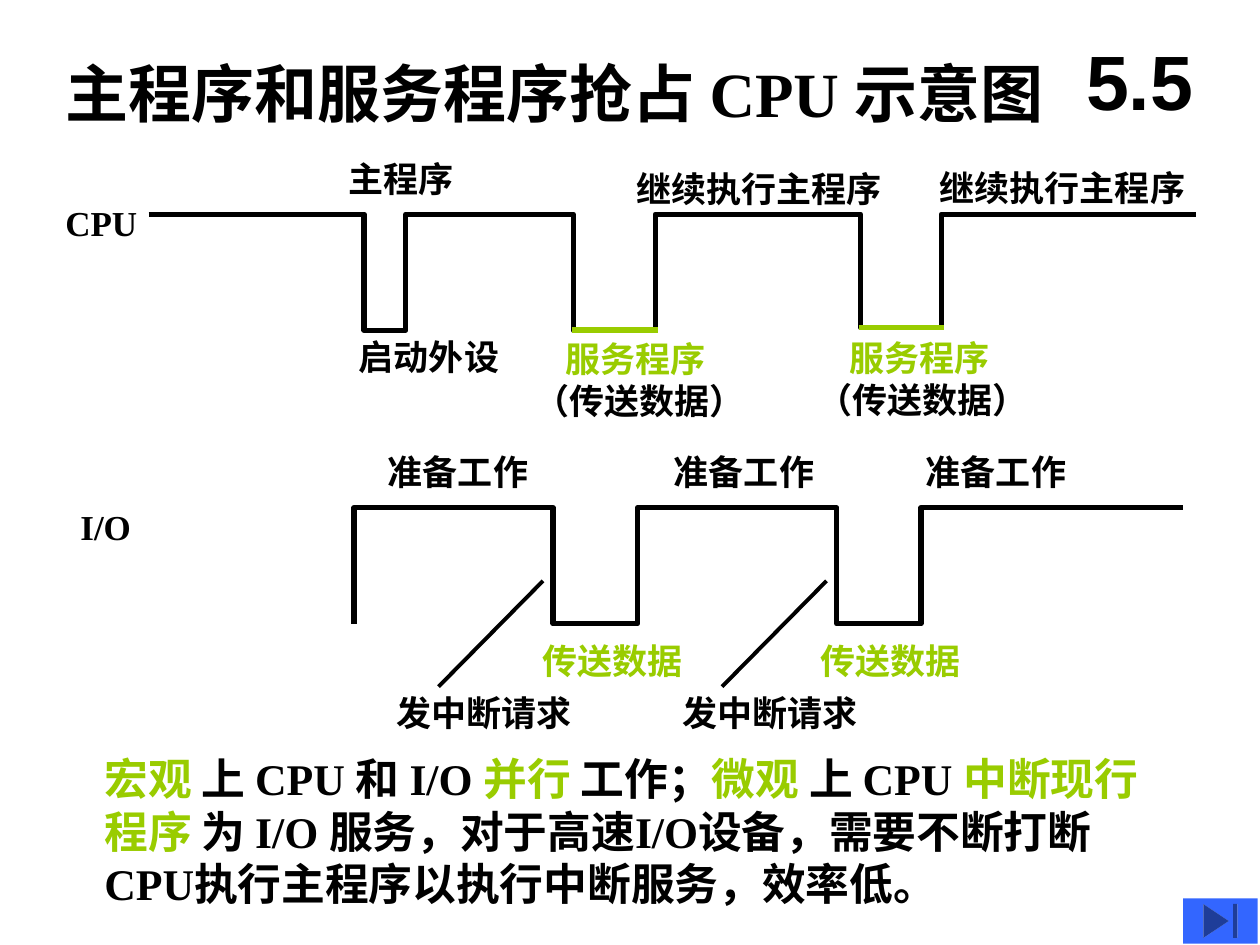
from dataclasses import dataclass

import pptx
import pptx.dml.color
import pptx.enum.shapes
import pptx.enum.text
import pptx.util
from lxml import etree
from pptx.oxml.ns import qn

Inches = pptx.util.Inches
Point = tuple[float, float]
Span = tuple[str, str]


@dataclass(frozen=True)
class Theme:
    ink: str = "000000"
    accent: str = "99CC00"
    button: str = "3366FF"
    serif: str = "Times New Roman"
    sans: str = "Arial"
    title: int = 36
    number: int = 44
    label: int = 20
    body: int = 25
    wave: float = 3
    pointer: float = 2.25


THEME = Theme()


@dataclass(frozen=True)
class Label:
    text: str
    left: float
    top: float
    width: float
    color: str = THEME.ink


def rgb(color: str) -> pptx.dml.color.RGBColor:
    return pptx.dml.color.RGBColor.from_string(color)


def add_text(page, paragraphs: list[list[Span]], left: float, top: float, width: float,
             height: float, *, size: int = THEME.label, font: str = THEME.serif,
             wrap: bool = False, centered: bool = False, indent: float = 0):
    """Add bold text; each paragraph is a list of (text, color), the first one indented."""
    box = page.shapes.add_textbox(Inches(left), Inches(top), Inches(width), Inches(height))
    frame = box.text_frame
    frame.word_wrap = wrap
    if not wrap:
        frame.auto_size = pptx.enum.text.MSO_AUTO_SIZE.SHAPE_TO_FIT_TEXT
    if centered:
        frame.vertical_anchor = pptx.enum.text.MSO_ANCHOR.MIDDLE
    for index, spans in enumerate(paragraphs):
        para = frame.add_paragraph() if index else frame.paragraphs[0]
        if centered:
            para.alignment = pptx.enum.text.PP_ALIGN.CENTER
        if indent and index == 0:
            para._p.get_or_add_pPr().set("marL", str(Inches(indent)))
        for text, color in spans:
            span = para.add_run()
            span.text = text
            span.font.name = font
            span.font.size = pptx.util.Pt(size)
            span.font.bold = True
            span.font.color.rgb = rgb(color)
    return box


def add_label(page, label: Label) -> None:
    add_text(page, [[(label.text, label.color)]], label.left, label.top, label.width, 0.44)


def add_wave(page, points: list[Point]) -> None:
    builder = page.shapes.build_freeform(
        Inches(points[0][0]), Inches(points[0][1]), scale=1.0)
    builder.add_line_segments([(Inches(x), Inches(y)) for x, y in points[1:]], close=False)
    wave = builder.convert_to_shape()
    wave.shadow.inherit = False
    wave.fill.background()
    wave.line.color.rgb = rgb(THEME.ink)
    wave.line.width = pptx.util.Pt(THEME.wave)


def add_line(page, start: Point, end: Point, color: str, width: float) -> None:
    line = page.shapes.add_connector(
        pptx.enum.shapes.MSO_CONNECTOR.STRAIGHT,
        Inches(start[0]), Inches(start[1]), Inches(end[0]), Inches(end[1]))
    line.line.color.rgb = rgb(color)
    line.line.width = pptx.util.Pt(width)
    etree.SubElement(line._element.spPr, qn("a:effectLst"))


def pulse(start: float, end: float, high: float,
          dips: list[tuple[float, float, float]]) -> list[Point]:
    """Points of a high line that drops to a low level in each (left, right, low) dip."""
    points = [(start, high)]
    for left, right, low in dips:
        points += [(left, high), (left, low), (right, low), (right, high)]
    return points + [(end, high)]


def add_io_timeline(page) -> None:
    high, low = 4.03, 4.95
    dips = [(4.39, 5.06, low), (6.64, 7.31, low)]
    add_wave(page, [(2.81, low)] + pulse(2.81, 9.39, high, dips))
    labels = [Label("准备工作", left, 3.53, 1.32) for left in (2.98, 5.25, 7.25)]
    labels += [Label("传送数据", left, 5.03, 1.32, THEME.accent) for left in (4.21, 6.41)]
    labels += [Label("发中断请求", left, 5.44, 1.6) for left in (3.05, 5.32)]
    labels.append(Label("I/O", 0.54, 3.96, 0.6))
    for label in labels:
        add_label(page, label)
    # Pointers from the interrupt requests to the falling edges
    for left in (3.48, 5.73):
        add_line(page, (left, 5.45), (left + 0.83, 4.61), THEME.ink, THEME.pointer)


def add_cpu_timeline(page) -> None:
    services = [(4.55, 5.2, 2.62), (6.83, 7.47, 2.6)]
    add_wave(page, pulse(1.18, 9.49, 1.7, [(2.89, 3.22, 2.62)] + services))
    for label in (
        Label("主程序", 2.67, 1.2, 1.05),
        Label("继续执行主程序", 4.95, 1.28, 2.16),
        Label("继续执行主程序", 7.36, 1.27, 2.16),
        Label("启动外设", 2.75, 2.61, 1.32),
        Label("CPU", 0.42, 1.55, 0.77),
    ):
        add_label(page, label)
    # Service routines: caption and highlighted low level
    caption = [[("服务程序", THEME.accent)], [("（传送数据）", THEME.ink)]]
    for left, top in ((4.14, 2.63), (6.39, 2.62)):
        add_text(page, caption, left, top, 1.88, 0.77, indent=0.25)
    for left, right, low in services:
        add_line(page, (left - 0.01, low), (right + 0.02, low), THEME.accent, THEME.wave)


def add_end_button(page) -> None:
    button = page.shapes.add_shape(
        pptx.enum.shapes.MSO_SHAPE.ACTION_BUTTON_END,
        Inches(9.39), Inches(7.13), Inches(0.59), Inches(0.36))
    button.shadow.inherit = False
    button.fill.solid()
    button.fill.fore_color.rgb = rgb(THEME.button)
    button.line.fill.background()


def main() -> None:
    deck = pptx.Presentation()
    deck.slide_width, deck.slide_height = Inches(10), Inches(7.5)
    page = deck.slides.add_slide(deck.slide_layouts[6])

    # Heading and section number
    add_text(page, [[("主程序和服务程序抢占 CPU 示意图", THEME.ink)]],
             0.42, 0.38, 8.13, 1.3, size=THEME.title, wrap=True)
    add_text(page, [[("5.5", THEME.ink)]], 8.42, 0.17, 1.25, 0.92,
             size=THEME.number, font=THEME.sans, wrap=True, centered=True)

    # Timing diagram
    add_io_timeline(page)
    add_cpu_timeline(page)

    # Conclusion
    add_text(page, [[
        ("宏观 ", THEME.accent), ("上 CPU 和 I/O ", THEME.ink),
        ("并行 ", THEME.accent), ("工作；", THEME.ink),
        ("微观 ", THEME.accent), ("上 CPU ", THEME.ink),
        ("中断现行程序 ", THEME.accent),
        ("为 I/O 服务，对于高速I/O设备，需要不断打断CPU执行主程序以执行中断服务，效率低。", THEME.ink),
    ]], 0.73, 5.92, 8.69, 1.35, size=THEME.body, wrap=True)

    add_end_button(page)
    deck.save("out.pptx")


if __name__ == "__main__":
    main()
